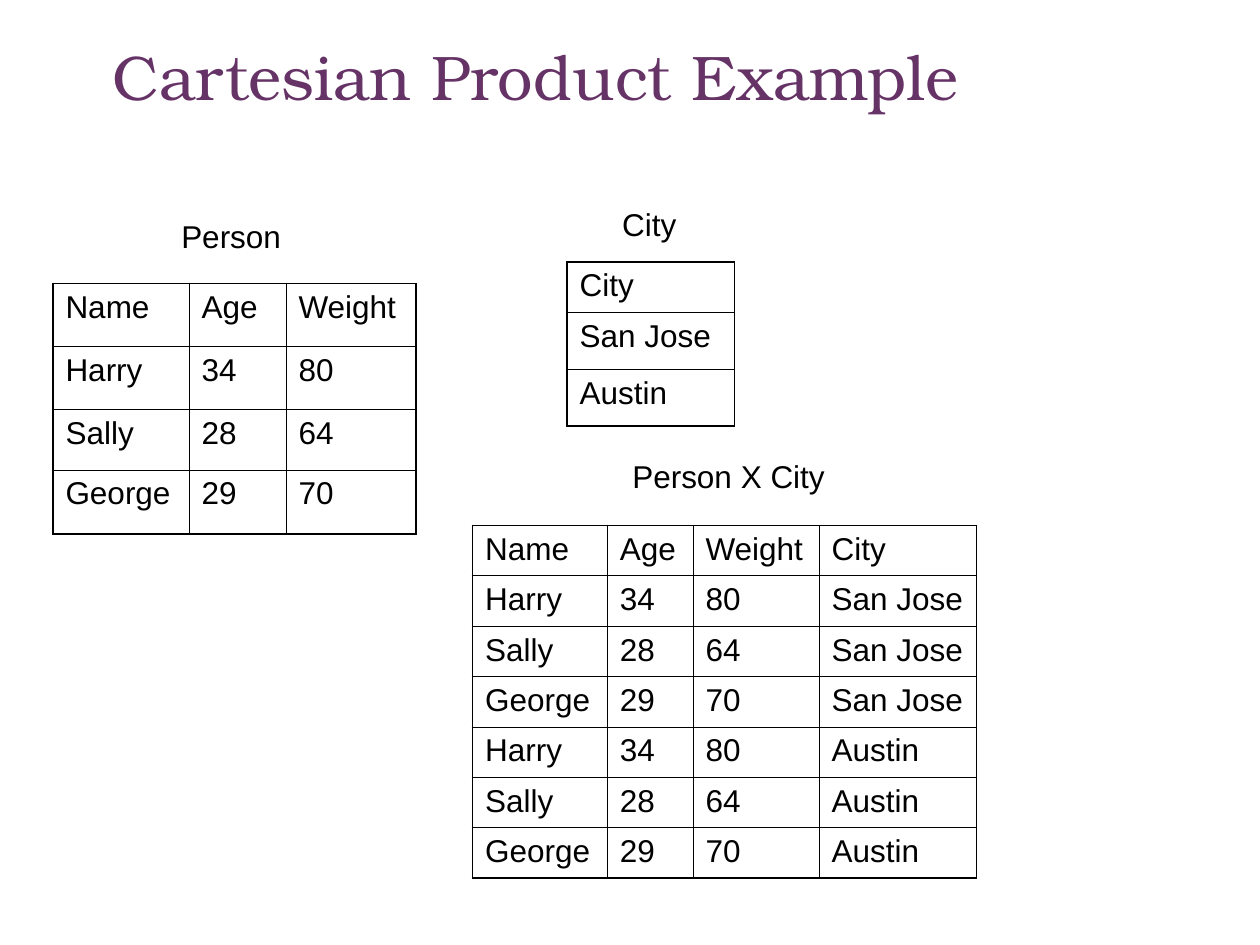
from dataclasses import dataclass
from itertools import product

from lxml.etree import SubElement
from pptx import Presentation
from pptx.dml.color import RGBColor
from pptx.enum.text import MSO_ANCHOR, MSO_AUTO_SIZE, PP_ALIGN
from pptx.oxml.ns import qn
from pptx.util import Inches, Pt


@dataclass(frozen=True)
class Theme:
    title_font: str = "TeX Gyre Bonum"
    body_font: str = "Arial"
    title_size: int = 36
    body_size: int = 18
    title_color: str = "663366"
    ink: str = "000000"
    outer_line: float = 1.08
    inner_line: float = 0.45


theme = Theme()


def set_font(paragraph, name, size, color):
    paragraph.font.name = name
    paragraph.font.size = Pt(size)
    paragraph.font.color.rgb = RGBColor.from_string(color)


def set_borders(cell, outer_sides):
    """Rule all four sides, heavier where the side is on the table's edge."""
    properties = cell._tc.get_or_add_tcPr()
    for side, is_outer in outer_sides.items():
        width = theme.outer_line if is_outer else theme.inner_line
        line = SubElement(properties, qn(f"a:ln{side}"), w=str(Pt(width)))
        fill = SubElement(line, qn("a:solidFill"))
        SubElement(fill, qn("a:srgbClr"), val=theme.ink)


presentation = Presentation()
presentation.slide_width = Inches(10)
presentation.slide_height = Inches(7.5)
slide = presentation.slides.add_slide(presentation.slide_layouts[5])

title = slide.shapes.title
title.left, title.top = Inches(0.24), Inches(0.25)
title.width, title.height = Inches(8.18), Inches(1.25)
title.text_frame.text = "Cartesian Product Example "
title.text_frame.vertical_anchor = MSO_ANCHOR.TOP
title.text_frame.auto_size = MSO_AUTO_SIZE.NONE
title_paragraph = title.text_frame.paragraphs[0]
title_paragraph.alignment = PP_ALIGN.CENTER
set_font(title_paragraph, theme.title_font, theme.title_size, theme.title_color)

person_header = ("Name", "Age", "Weight")
people = [("Harry", "34", "80"), ("Sally", "28", "64"), ("George", "29", "70")]
city_header = ("City",)
cities = [("San Jose",), ("Austin",)]
pairs = [person + city for city, person in product(cities, people)]

# Records, left, top, column widths, row heights
relations = [
    ([person_header, *people], 0.42, 2.25, [1.08, 0.77, 1.03], [0.5, 0.5, 0.48, 0.51]),
    ([city_header, *cities], 4.5, 2.08, [1.33], [0.4, 0.45, 0.45]),
    ([person_header + city_header, *pairs], 3.75, 4.17, [1.07, 0.68, 1, 1.25], [0.4] * 7),
]
for records, left, top, widths, heights in relations:
    table = slide.shapes.add_table(
        len(heights), len(widths), Inches(left), Inches(top),
        Inches(sum(widths)), Inches(sum(heights)),
    ).table
    table.first_row = table.horz_banding = False
    for column, width in zip(table.columns, widths):
        column.width = Inches(width)
    for row, height in zip(table.rows, heights):
        row.height = Inches(height)
    for row_index, record in enumerate(records):
        for column_index, value in enumerate(record):
            cell = table.cell(row_index, column_index)
            cell.text = value
            set_font(cell.text_frame.paragraphs[0], theme.body_font, theme.body_size, theme.ink)
            set_borders(cell, {
                "L": column_index == 0,
                "R": column_index == len(widths) - 1,
                "T": row_index == 0,
                "B": row_index == len(heights) - 1,
            })
            cell.fill.background()

captions = [
    ("Person", 1.34, 1.67, 0.99),
    ("City", 4.84, 1.58, 0.63),
    ("Person X City", 4.92, 3.58, 1.73),
]
for caption, left, top, width in captions:
    box = slide.shapes.add_textbox(Inches(left), Inches(top), Inches(width), Inches(0.4))
    box.text_frame.text = caption
    box.text_frame.word_wrap = False
    box.text_frame.auto_size = MSO_AUTO_SIZE.SHAPE_TO_FIT_TEXT
    set_font(box.text_frame.paragraphs[0], theme.body_font, theme.body_size, theme.ink)

presentation.save("out.pptx")
